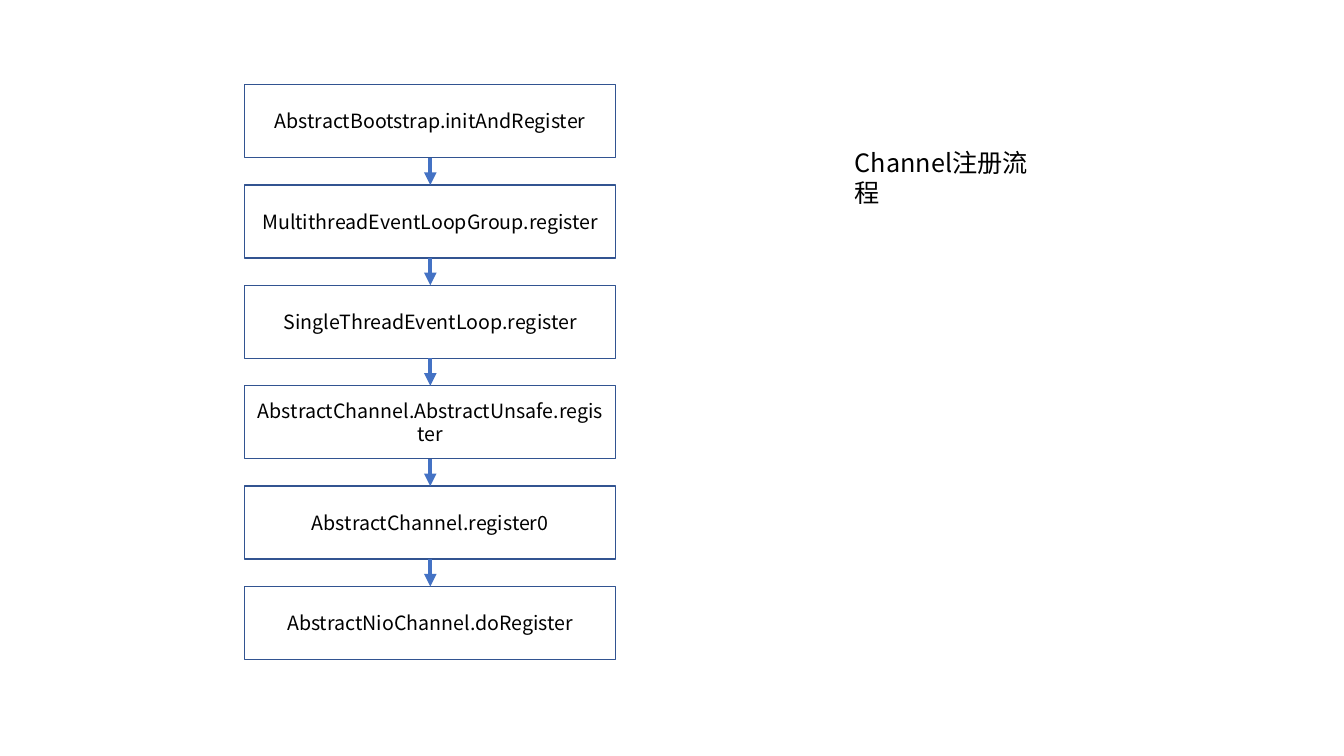
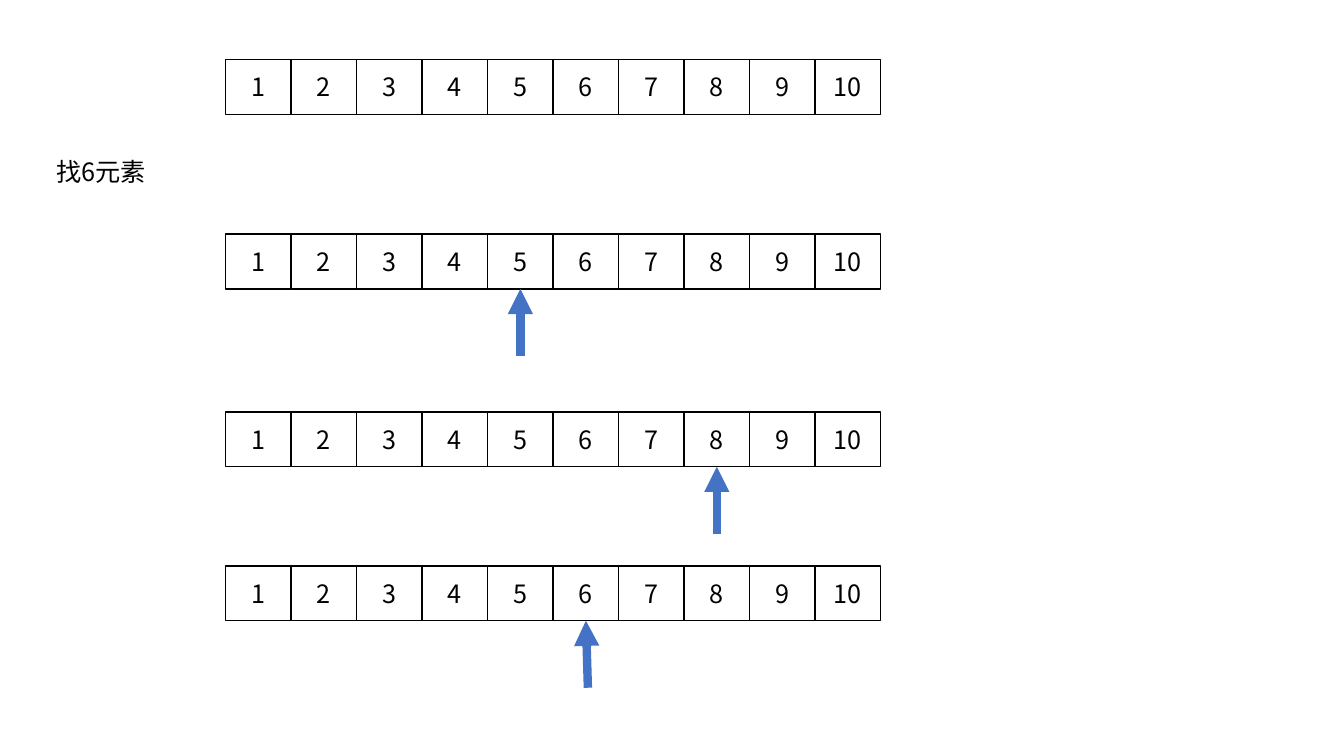
from lxml.etree import SubElement
from pptx import Presentation
from pptx.dml.color import RGBColor
from pptx.enum.shapes import MSO_CONNECTOR, MSO_SHAPE
from pptx.enum.text import MSO_ANCHOR, MSO_AUTO_SIZE, PP_ALIGN
from pptx.oxml.ns import qn
from pptx.util import Cm, Pt

FONT = "Noto Sans CJK SC"
BLACK, WHITE, BLUE, NAVY = "000000", "FFFFFF", "4472C4", "325491"
TITLE_ONLY = 5


def rgb(code):
    """Turn a hex string into a colour."""
    return RGBColor.from_string(code)


class Deck:
    """Holds the shared style and the current slide."""

    def __init__(self):
        """Start an empty widescreen presentation."""
        self.presentation = Presentation()
        self.presentation.slide_width = Cm(33.87)
        self.presentation.slide_height = Cm(19.05)
        self.slide = None

    def set_text(self, frame, text, size, align, anchor):
        """Put one styled paragraph into a text frame."""
        frame.text = text
        frame.word_wrap = True
        frame.vertical_anchor = anchor
        paragraph = frame.paragraphs[0]
        paragraph.alignment = align
        font = paragraph.font
        font.size = Pt(size)
        font.color.rgb = rgb(BLACK)
        font.name = FONT
        defaults = paragraph._p.pPr.find(qn("a:defRPr"))
        SubElement(defaults, qn("a:ea"), typeface=FONT)

    def new_slide(self, heading, left, top, width):
        """Add a slide with its small heading."""
        layout = self.presentation.slide_layouts[TITLE_ONLY]
        self.slide = self.presentation.slides.add_slide(layout)
        title = self.slide.shapes.title
        title.left, title.top = Cm(left), Cm(top)
        title.width, title.height = Cm(width), Cm(1.02)
        self.set_text(title.text_frame, heading, 18, PP_ALIGN.LEFT, MSO_ANCHOR.TOP)
        title.text_frame.auto_size = MSO_AUTO_SIZE.NONE

    def box(self, text, left, top, width, height, border, size):
        """Draw a white outlined box with centred text."""
        box = self.slide.shapes.add_shape(
            MSO_SHAPE.RECTANGLE, Cm(left), Cm(top), Cm(width), Cm(height))
        box.shadow.inherit = False
        box.fill.solid()
        box.fill.fore_color.rgb = rgb(WHITE)
        box.line.color.rgb = rgb(border)
        box.line.width = Pt(1)
        self.set_text(box.text_frame, text, size, PP_ALIGN.CENTER, MSO_ANCHOR.MIDDLE)

    def arrow(self, start, end, weight):
        """Draw a blue arrow between two points."""
        arrow = self.slide.shapes.add_connector(
            MSO_CONNECTOR.STRAIGHT, *map(Cm, start + end))
        arrow.line.color.rgb = rgb(BLUE)
        arrow.line.width = Pt(weight)
        properties = arrow._element.spPr
        SubElement(properties.find(qn("a:ln")), qn("a:tailEnd"), type="triangle")
        SubElement(properties, qn("a:effectLst"))

    def flow(self, steps, left, top, width, height, pitch):
        """Stack the steps and join neighbours with arrows."""
        middle = left + width / 2
        for index, step in enumerate(steps):
            step_top = top + index * pitch
            self.box(step, left, step_top, width, height, NAVY, 14)
            if index:
                self.arrow((middle, step_top - pitch + height), (middle, step_top), 3)

    def array(self, values, top, probe=None, slant=0):
        """Draw a row of cells, with an arrow below the probed value."""
        left, width, height = 5.69, 1.65, 1.38
        for index, value in enumerate(values):
            cell_left = left + index * width
            self.box(str(value), cell_left, top, width, height, BLACK, 18)
            if value == probe:
                tip = cell_left + width / 2
                bottom = top + height
                self.arrow((tip + slant, bottom + 1.69), (tip, bottom), 6)


deck = Deck()

deck.new_slide("Channel注册流程", 21.29, 3.58, 5.49)
registration = [
    "AbstractBootstrap.initAndRegister",
    "MultithreadEventLoopGroup.register",
    "SingleThreadEventLoop.register",
    "AbstractChannel.AbstractUnsafe.register",
    "AbstractChannel.register0",
    "AbstractNioChannel.doRegister",
]
deck.flow(registration, left=6.17, top=2.13, width=9.35, height=1.84, pitch=2.53)

deck.new_slide("找6元素", 1.17, 3.81, 2.77)
numbers = range(1, 11)
deck.array(numbers, 1.5)
deck.array(numbers, 5.9, probe=5)
deck.array(numbers, 10.38, probe=8)
deck.array(numbers, 14.26, probe=6, slant=0.05)

deck.presentation.save("out.pptx")
